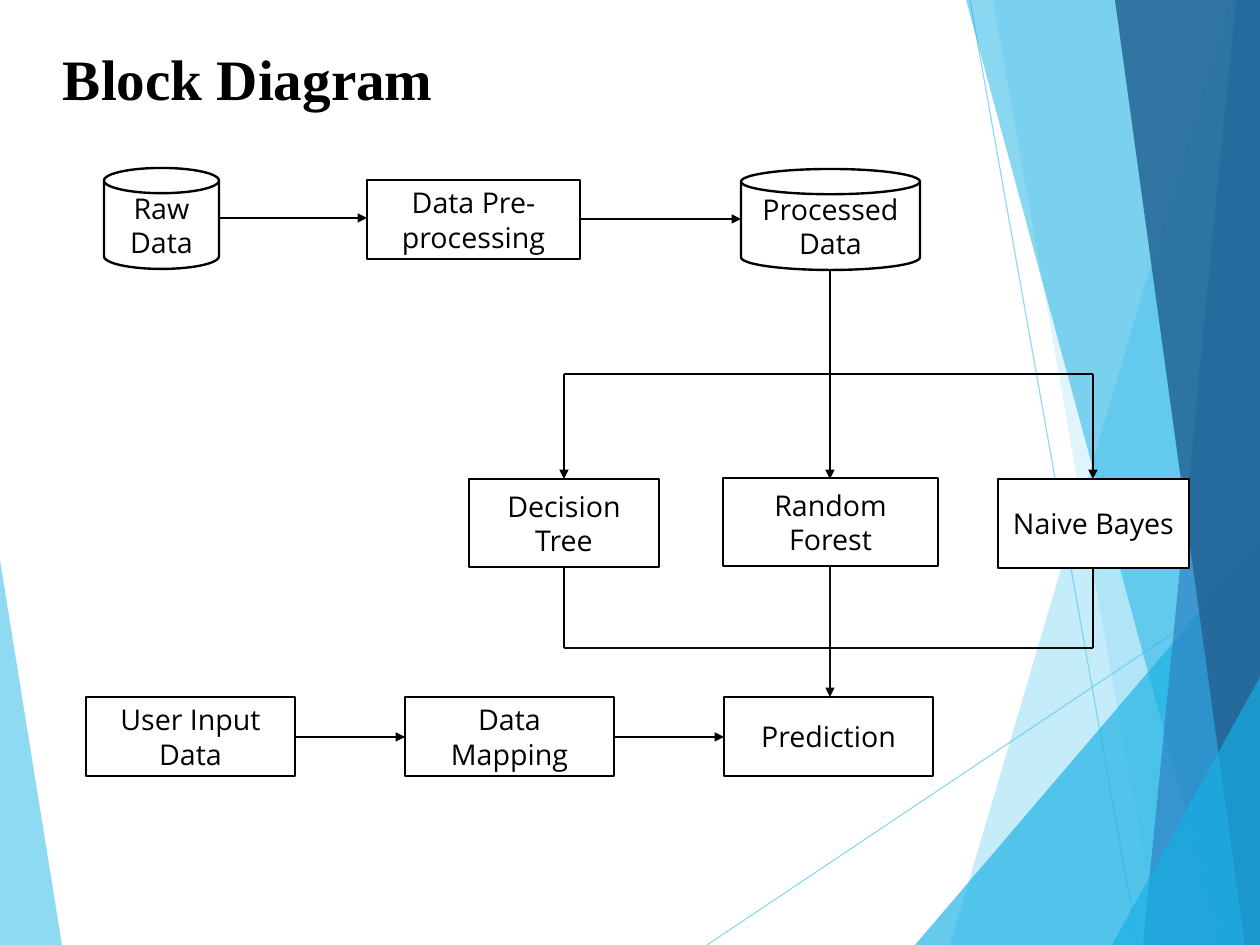
import dataclasses

import lxml.etree
import pptx
import pptx.dml.color
import pptx.enum.shapes
import pptx.enum.text
import pptx.oxml.ns
import pptx.shapes.base
import pptx.shapes.connector
import pptx.slide
import pptx.text.text
import pptx.util

PX = 8000
BLACK = "000000"
NEAR_BLACK = "0D0D0D"
WHITE = "FFFFFF"
SKY = "5FCBEF"
CYAN = "17B0E4"
RECTANGLE = pptx.enum.shapes.MSO_SHAPE.RECTANGLE
CYLINDER = pptx.enum.shapes.MSO_SHAPE.CAN


@dataclasses.dataclass(frozen=True)
class Facet:
    points: tuple[tuple[int, int], ...]
    color: str
    opacity: int


@dataclasses.dataclass(frozen=True)
class Block:
    lines: tuple[str, ...]
    left: int
    top: int
    width: int
    height: int
    kind: pptx.enum.shapes.MSO_SHAPE = RECTANGLE


@dataclasses.dataclass(frozen=True)
class Link:
    start: tuple[int, int]
    end: tuple[int, int]
    arrow: bool = False
    color: str = BLACK
    weight: float = 1
    opacity: int = 100


FACETS = (
    Facet(((0, 560), (62, 945), (0, 945)), SKY, 70),
    Facet(((1229, 0), (950, 945), (1260, 945), (1260, 0)), SKY, 36),
    Facet(((993, 0), (1159, 945), (1260, 945), (1260, 0)), SKY, 20),
    Facet(((915, 945), (1260, 541), (1260, 945)), CYAN, 66),
    Facet(((966, 0), (1222, 945), (1260, 945), (1260, 0)), CYAN, 50),
    Facet(((1236, 0), (1143, 945), (1260, 945), (1260, 0)), "2E83C3", 70),
    Facet(((1115, 0), (1245, 945), (1260, 945), (1260, 0)), "226292", 82),
    Facet(((1112, 945), (1260, 677), (1260, 945)), CYAN, 66),
)
RAYS = (
    Link((707, 945), (1260, 575), color=SKY, weight=0.75, opacity=70),
    Link((970, 0), (1138, 945), color=SKY, weight=0.75, opacity=70),
)

ROW_LEFT, ROW_STEP, ROW_TOP = 86, 319, 697
ROW_WIDTH, ROW_HEIGHT = 209, 79
ROW_MIDDLE = 737
ROW_NAMES = ("User Input Data", "Data Mapping", "Prediction")

BLOCKS = (
    Block(("Raw", "Data"), 104, 168, 115, 101, CYLINDER),
    Block(("Data Pre-processing",), 367, 180, 213, 79),
    Block(("Processed Data",), 741, 169, 179, 101, CYLINDER),
    Block(("Decision Tree",), 469, 479, 190, 88),
    Block(("Random Forest",), 723, 478, 215, 88),
    Block(("Naive Bayes",), 998, 479, 191, 89),
) + tuple(
    Block((name,), ROW_LEFT + ROW_STEP * index, ROW_TOP, ROW_WIDTH, ROW_HEIGHT)
    for index, name in enumerate(ROW_NAMES)
)

TREE_X, FOREST_X, BAYES_X = 564, 830, 1093
SPLIT_Y, MODEL_TOP, MODEL_BOTTOM, MERGE_Y = 374, 479, 567, 648
LINKS = (
    Link((219, 218), (367, 218), arrow=True),
    Link((580, 219), (741, 219), arrow=True),
    Link((FOREST_X, 270), (FOREST_X, SPLIT_Y)),
    Link((FOREST_X, SPLIT_Y), (TREE_X, SPLIT_Y)),
    Link((FOREST_X, SPLIT_Y), (BAYES_X, SPLIT_Y)),
    *(Link((x, SPLIT_Y), (x, MODEL_TOP), arrow=True) for x in (TREE_X, FOREST_X, BAYES_X)),
    *(Link((x, MODEL_BOTTOM), (x, MERGE_Y)) for x in (TREE_X, BAYES_X)),
    Link((TREE_X, MERGE_Y), (BAYES_X, MERGE_Y), color=NEAR_BLACK),
    Link((FOREST_X, MODEL_BOTTOM), (FOREST_X, ROW_TOP), arrow=True, color=NEAR_BLACK),
    *(
        Link((left + ROW_WIDTH, ROW_MIDDLE), (left + ROW_STEP, ROW_MIDDLE), arrow=True)
        for left in (ROW_LEFT, ROW_LEFT + ROW_STEP)
    ),
)


def rgb(color: str) -> pptx.dml.color.RGBColor:
    return pptx.dml.color.RGBColor.from_string(color)


def add_run(
    para: pptx.text.text._Paragraph, text: str, font: str, size: int, bold: bool = False
) -> None:
    span = para.add_run()
    span.text = text
    span.font.name = font
    span.font.size = pptx.util.Pt(size)
    span.font.bold = bold
    span.font.color.rgb = rgb(BLACK)


def set_opacity(shape: pptx.shapes.base.BaseShape, percent: int) -> None:
    tint = next(shape.element.iter(pptx.oxml.ns.qn("a:srgbClr")))
    alpha = lxml.etree.SubElement(tint, pptx.oxml.ns.qn("a:alpha"))
    alpha.set("val", str(percent * 1000))


def add_facet(page: pptx.slide.Slide, facet: Facet) -> None:
    builder = page.shapes.build_freeform(*facet.points[0], scale=PX)
    builder.add_line_segments(facet.points[1:], close=True)
    shape = builder.convert_to_shape()
    shape.shadow.inherit = False
    shape.fill.solid()
    shape.fill.fore_color.rgb = rgb(facet.color)
    shape.line.fill.background()
    set_opacity(shape, facet.opacity)


def add_link(page: pptx.slide.Slide, link: Link) -> None:
    connector = page.shapes.add_connector(
        pptx.enum.shapes.MSO_CONNECTOR.STRAIGHT,
        *(value * PX for value in link.start + link.end),
    )
    connector.line.color.rgb = rgb(link.color)
    connector.line.width = pptx.util.Pt(link.weight)
    if link.opacity < 100:
        set_opacity(connector, link.opacity)
    if link.arrow:
        outline = next(connector.element.iter(pptx.oxml.ns.qn("a:ln")))
        tip = lxml.etree.SubElement(outline, pptx.oxml.ns.qn("a:tailEnd"))
        tip.set("type", "triangle")
    lxml.etree.SubElement(connector.element.spPr, pptx.oxml.ns.qn("a:effectLst"))


def add_block(page: pptx.slide.Slide, block: Block) -> None:
    bounds = (block.left, block.top, block.width, block.height)
    box = page.shapes.add_shape(block.kind, *(value * PX for value in bounds))
    box.shadow.inherit = False
    box.fill.solid()
    box.fill.fore_color.rgb = rgb(WHITE)
    box.line.color.rgb = rgb(BLACK)
    box.line.width = pptx.util.Pt(1.5)
    frame = box.text_frame
    frame.word_wrap = True
    frame.vertical_anchor = pptx.enum.text.MSO_ANCHOR.MIDDLE
    for index, line in enumerate(block.lines):
        para = frame.add_paragraph() if index else frame.paragraphs[0]
        para.alignment = pptx.enum.text.PP_ALIGN.CENTER
        add_run(para, line, "Open Sans", 18)


def set_title(page: pptx.slide.Slide, text: str) -> None:
    title = page.shapes.title
    title.left, title.top, title.width, title.height = (
        value * PX for value in (63, 38, 1134, 83)
    )
    frame = title.text_frame
    frame.word_wrap = True
    frame.auto_size = pptx.enum.text.MSO_AUTO_SIZE.NONE
    frame.vertical_anchor = pptx.enum.text.MSO_ANCHOR.MIDDLE
    frame.margin_left = frame.margin_right = frame.margin_bottom = 0
    frame.margin_top = 3 * PX
    para = frame.paragraphs[0]
    para.alignment = pptx.enum.text.PP_ALIGN.LEFT
    para.line_spacing = 0.93
    add_run(para, text, "Times New Roman", 36, bold=True)


def main() -> None:
    deck = pptx.Presentation()
    deck.slide_width, deck.slide_height = 1260 * PX, 945 * PX
    page = deck.slides.add_slide(deck.slide_layouts.get_by_name("Title Only"))
    set_title(page, "Block Diagram")
    for ray in RAYS:
        add_link(page, ray)
    for facet in FACETS:
        add_facet(page, facet)
    for block in BLOCKS:
        add_block(page, block)
    for link in LINKS:
        add_link(page, link)
    deck.save("out.pptx")


if __name__ == "__main__":
    main()
